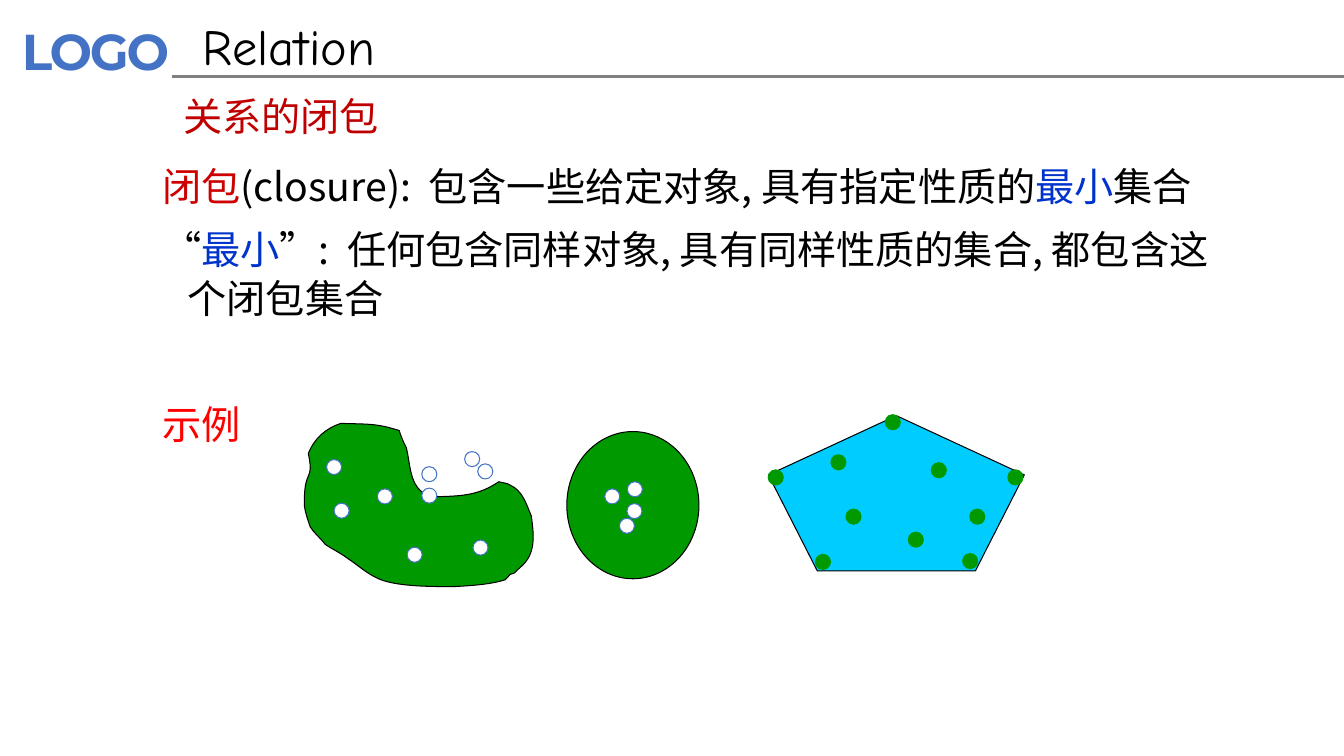
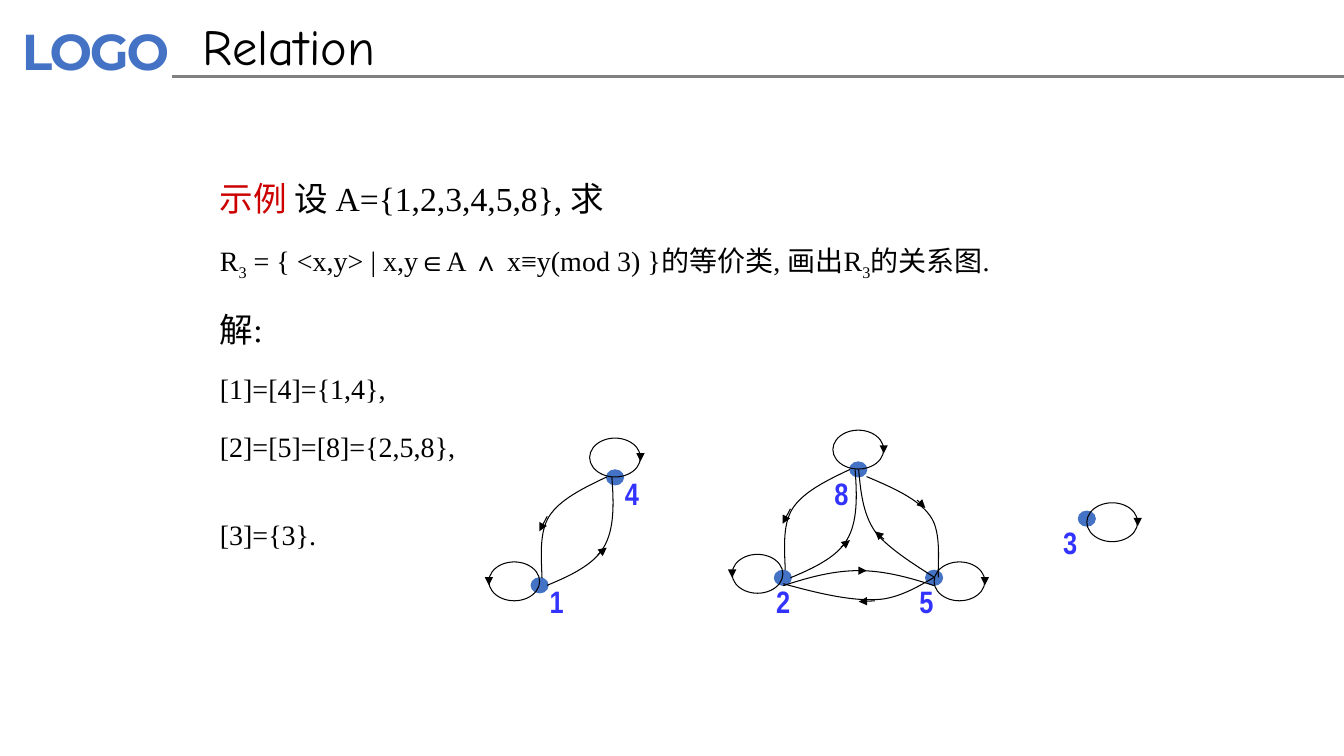
from dataclasses import dataclass

from lxml.etree import SubElement
from pptx import Presentation
from pptx.dml.color import RGBColor
from pptx.enum.shapes import MSO_CONNECTOR as Connector, MSO_SHAPE as Preset
from pptx.enum.text import MSO_ANCHOR as Anchor, PP_ALIGN as Align
from pptx.oxml.ns import qn
from pptx.util import Cm, Pt


@dataclass(frozen=True)
class Theme:
    black: str = "000000"
    white: str = "FFFFFF"
    gray: str = "808080"
    accent: str = "4472C4"
    crimson: str = "CC0000"
    dark_red: str = "C00000"
    red: str = "FF0000"
    blue: str = "0033CC"
    label_blue: str = "3333FF"
    green: str = "009900"
    cyan: str = "00CCFF"
    title_font: str = "Comic Neue"
    logo_font: str = "Montserrat"
    chinese_font: str = "Noto Sans CJK SC"
    math_font: str = "Times New Roman"
    label_font: str = "Arial Narrow"
    title_size: float = 36
    body_size: float = 28
    example_size: float = 24
    formula_size: float = 20
    label_size: float = 22.1
    outline: float = 0.75
    rule: float = 2


THEME = Theme()

BLOB = [
    (7.77, 11.43),
    (7.92, 11.05), (8.2, 10.8), (8.59, 10.67),
    (9.3, 10.69), (9.5, 10.67), (10.06, 10.85),
    (10.11, 11), (10.16, 11.13), (10.24, 11.28),
    (10.36, 11.76), (10.31, 12.4), (10.92, 12.52),
    (11.61, 12.5), (12.04, 12.5), (12.57, 12.14),
    (12.67, 12.17), (12.78, 12.17), (12.85, 12.22),
    (13.18, 12.37), (13.26, 12.7), (13.39, 13),
    (13.46, 13.51), (13.51, 13.97), (13.11, 14.3),
    (12.88, 14.5), (13.06, 14.4), (12.85, 14.48),
    (12.8, 14.53), (12.78, 14.58), (12.73, 14.61),
    (12.37, 14.73), (11.84, 14.76), (11.48, 14.78),
    (11.1, 14.78), (9.93, 14.81), (9.47, 14.55),
    (9.22, 14.43), (8.99, 14.22), (8.76, 14.07),
    (8.59, 13.94), (8.38, 13.84), (8.2, 13.72),
    (8.08, 13.56), (7.92, 13.44), (7.82, 13.28),
    (7.75, 13.08), (7.7, 12.93), (7.67, 12.75),
    (7.67, 12.57), (7.67, 12.4), (7.7, 12.22),
    (7.72, 12.07), (7.82, 11.94), (7.82, 11.81),
    (7.82, 11.68), (7.8, 11.56), (7.77, 11.43),
]
GREEN_DOTS = [
    (22.5, 10.64), (25.59, 12.03), (19.55, 12.03), (20.74, 14.16),
    (24.45, 14.14), (24.63, 13.02), (21.51, 13.02), (23.66, 11.85),
    (23.08, 13.6), (21.13, 11.65),
]
WHITE_DOTS = [
    (8.42, 11.77), (8.61, 12.87), (9.7, 12.51), (10.82, 12.49),
    (12.11, 13.8), (10.45, 13.98), (10.82, 11.95), (11.9, 11.57),
    (12.23, 11.88), (15.43, 12.51), (15.8, 13.25), (16, 12.33),
    (15.99, 12.88),
]

ABOVE, LEFT, RIGHT = (0, -0.5), (-0.64, -0.1), (0.64, 0.09)
VERTICES = [
    ("1", (13.6, 14.75), LEFT, (0, -0.2)),
    ("4", (15.5, 12.03), ABOVE, (0, -0.2)),
    ("2", (19.73, 14.56), LEFT, (-0.42, 0)),
    ("5", (23.54, 14.56), RIGHT, (-0.62, 0)),
    ("8", (21.63, 11.83), ABOVE, (-0.85, 0)),
    ("3", (27.39, 13.07), RIGHT, (-0.85, 0)),
]
RISING_PAIR = [
    ([(0.19, 0), (0.77, -0.24), (1.36, -0.52), (1.61, -0.95),
      (1.89, -1.41), (1.87, -2.07), (1.82, -2.73)],
     (1.46, -0.77), (1.69, -0.95)),
    ([(1.69, -2.73), (1.1, -2.45), (0.52, -2.17), (0.24, -1.74),
      (-0.01, -1.33), (0.04, -0.75), (0.06, -0.19)],
     (0.19, -1.74), (-0.01, -1.36)),
]
TRIANGLE_ARCS = [
    ([(21.64, 11.84), (21.69, 12.37), (21.74, 12.93), (22.05, 13.39),
      (22.38, 13.84), (23.29, 14.38), (23.55, 14.55)],
     (22.28, 13.59), (22.05, 13.39)),
    ([(21.84, 12.01), (22.5, 12.29), (23.14, 12.57), (23.44, 13),
      (23.75, 13.41), (23.62, 14.27), (23.65, 14.55)],
     (23.11, 12.6), (23.32, 12.8)),
    ([(19.74, 14.71), (20.57, 14.94), (21.41, 15.14), (22.05, 15.11),
      (22.68, 15.11), (23.32, 14.66), (23.55, 14.55)],
     (22.05, 15.14), (21.64, 15.16)),
    ([(19.74, 14.76), (20.37, 14.55), (21, 14.38), (21.64, 14.38),
      (22.28, 14.38), (22.91, 14.55), (23.55, 14.76)],
     (21.64, 14.38), (21.84, 14.38)),
]


def color(value):
    return RGBColor.from_string(value)


def add_run(paragraph, text, size, font, fill, bold=False):
    run = paragraph.add_run()
    run.text = text
    run.font.size = Pt(size)
    run.font.name = font
    run.font.bold = bold
    run.font.color.rgb = color(fill)
    properties = run._r.get_or_add_rPr()
    SubElement(properties, qn("a:ea")).set("typeface", THEME.chinese_font)
    return properties


def add_text_box(slide, left, top, width, height):
    frame = slide.shapes.add_textbox(Cm(left), Cm(top), Cm(width), Cm(height)).text_frame
    frame.word_wrap = True
    return frame


def add_hanging_paragraphs(frame, line_height, font, paragraphs):
    for index, (space, size, runs) in enumerate(paragraphs):
        paragraph = frame.paragraphs[0] if index == 0 else frame.add_paragraph()
        paragraph.line_spacing = Pt(line_height)
        paragraph.space_before = Pt(space)
        properties = paragraph._p.get_or_add_pPr()
        properties.set("marL", str(Cm(0.64)))
        properties.set("indent", str(-Cm(0.64)))
        for text, fill, *baseline in runs:
            run_properties = add_run(paragraph, text, size, font, fill)
            if baseline:
                run_properties.set("baseline", str(baseline[0] * 1000))


def style_shape(shape, fill, line):
    shape.shadow.inherit = False
    if fill:
        shape.fill.solid()
        shape.fill.fore_color.rgb = color(fill)
    else:
        shape.fill.background()
    shape.line.color.rgb = color(line)
    shape.line.width = Pt(THEME.outline)


def add_preset(slide, preset, center, width, height, fill, line):
    x, y = center
    shape = slide.shapes.add_shape(
        preset, Cm(x - width / 2), Cm(y - height / 2), Cm(width), Cm(height))
    style_shape(shape, fill, line)


def add_line(slide, start, end, fill, width, arrow=False):
    connector = slide.shapes.add_connector(
        Connector.STRAIGHT, *(Cm(value) for value in (*start, *end)))
    connector.line.color.rgb = color(fill)
    connector.line.width = Pt(width)
    properties = connector.element.spPr
    if arrow:
        SubElement(properties.find(qn("a:ln")), qn("a:tailEnd")).set("type", "triangle")
    SubElement(properties, qn("a:effectLst"))


def add_arrow(slide, start, end):
    add_line(slide, start, end, THEME.black, THEME.outline, arrow=True)


def add_curve(slide, points, fill=None):
    start, *others = [(Cm(x), Cm(y)) for x, y in points]
    builder = slide.shapes.build_freeform(*start)
    builder.add_line_segments(others, close=bool(fill))
    shape = builder.convert_to_shape()
    segments = list(shape.element.iter(qn("a:lnTo")))
    for index in range(0, len(segments), 3):
        first, *rest = segments[index:index + 3]
        curve = first.makeelement(qn("a:cubicBezTo"))
        first.addprevious(curve)
        for segment in (first, *rest):
            curve.append(segment[0])
            segment.getparent().remove(segment)
    style_shape(shape, fill, THEME.black)


def add_arc(slide, points, start, end, origin=(0, 0)):
    def move(point):
        return point[0] + origin[0], point[1] + origin[1]

    add_curve(slide, [move(point) for point in points])
    add_arrow(slide, move(start), move(end))


def add_vertex(slide, name, center, loop_offset, label_offset):
    x, y = center
    add_preset(slide, Preset.OVAL, center, 0.43, 0.38, THEME.accent, THEME.accent)
    loop_x, loop_y = x + loop_offset[0], y + loop_offset[1]
    add_preset(slide, Preset.OVAL, (loop_x, loop_y), 1.28, 0.98, None, THEME.black)
    arrow_x = loop_x + (-0.64 if loop_offset[0] < 0 else 0.64)
    add_arrow(slide, (arrow_x, loop_y - 0.1), (arrow_x, loop_y + 0.1))
    frame = add_text_box(slide, x + label_offset[0], y + label_offset[1], 1.07, 1.19)
    add_run(frame.paragraphs[0], name, THEME.label_size, THEME.label_font,
            THEME.label_blue, bold=True)


def add_titled_slide(presentation):
    slide = presentation.slides.add_slide(presentation.slide_layouts[5])
    logo = add_text_box(slide, 0.22, 0.33, 4.72, 1.88)
    logo.margin_left = logo.margin_right = Cm(0.33)
    logo.margin_top = logo.margin_bottom = Cm(0.18)
    add_run(logo.paragraphs[0], "LOGO", THEME.title_size, THEME.logo_font,
            THEME.accent, bold=True).set("spc", "-150")
    add_line(slide, (4.34, 1.93), (33.87, 1.93), THEME.gray, THEME.rule)
    title = slide.shapes.title
    title.left, title.top, title.width, title.height = (
        Cm(value) for value in (4.86, 0.25, 16, 1.8))
    title.text_frame.vertical_anchor = Anchor.TOP
    paragraph = title.text_frame.paragraphs[0]
    paragraph.alignment = Align.LEFT
    add_run(paragraph, "Relation", THEME.title_size, THEME.title_font, THEME.black)
    return slide


def add_closure_slide(presentation):
    slide = add_titled_slide(presentation)
    size, black, blue = THEME.body_size, THEME.black, THEME.blue
    body = add_text_box(slide, 3.84, 3.89, 26.97, 4.45)
    add_hanging_paragraphs(body, 35.5, THEME.chinese_font, [
        (0, size, [("闭包", THEME.crimson), ("(closure):  包含一些给定对象, 具有指定性质的", black),
                   ("最小", blue), ("集合", black)]),
        (9.5, size, [("“", black), ("最小", blue),
                     ("”:  任何包含同样对象, 具有同样性质的集合, 都包含这个闭包集合", black)]),
        (54.5, size, [("示例", THEME.red)]),
    ])
    add_preset(slide, Preset.REGULAR_PENTAGON, (22.59, 12.43), 6.45, 3.91, THEME.cyan, black)
    add_curve(slide, BLOB, THEME.green)
    add_preset(slide, Preset.OVAL, (15.95, 12.73), 3.33, 3.71, THEME.green, black)
    for centers, fill, line in ((GREEN_DOTS, THEME.green, THEME.green),
                                (WHITE_DOTS, THEME.white, THEME.accent)):
        for center in centers:
            add_preset(slide, Preset.OVAL, center, 0.38, 0.38, fill, line)
    heading = add_text_box(slide, 4.37, 2.2, 9.14, 1.45)
    add_run(heading.paragraphs[0], "关系的闭包", size, THEME.chinese_font, THEME.dark_red)


def add_relation_graph_slide(presentation):
    slide = add_titled_slide(presentation)
    large, small, black = THEME.example_size, THEME.formula_size, THEME.black
    body = add_text_box(slide, 5.29, 4.32, 23.29, 9.7)
    add_hanging_paragraphs(body, 30, THEME.math_font, [
        (0, large, [("示例", THEME.crimson), (" 设 A={1,2,3,4,5,8}, 求", black)]),
        (15.2, small, [("R", black), ("3", black, -25),
                       (" = { <x,y> | x,y∈A ∧ x≡y(mod 3) }的等价类, 画出R", black),
                       ("3", black, -25), ("的关系图.", black)]),
        (18.2, large, [("解:", black)]),
        (9.8, small, [("[1]=[4]={1,4},", black)]),
        (11.5, small, [("[2]=[5]=[8]={2,5,8},", black)]),
        (33, small, [("[3]={3}.", black)]),
    ])
    for vertex in VERTICES:
        add_vertex(slide, *vertex)
    centers = {name: center for name, center, *_ in VERTICES}
    for lower_vertex in ("1", "2"):
        for arc in RISING_PAIR:
            add_arc(slide, *arc, origin=centers[lower_vertex])
    for arc in TRIANGLE_ARCS:
        add_arc(slide, *arc)


def main():
    presentation = Presentation()
    presentation.slide_width, presentation.slide_height = Cm(33.87), Cm(19.05)
    add_closure_slide(presentation)
    add_relation_graph_slide(presentation)
    presentation.save("out.pptx")


if __name__ == "__main__":
    main()
